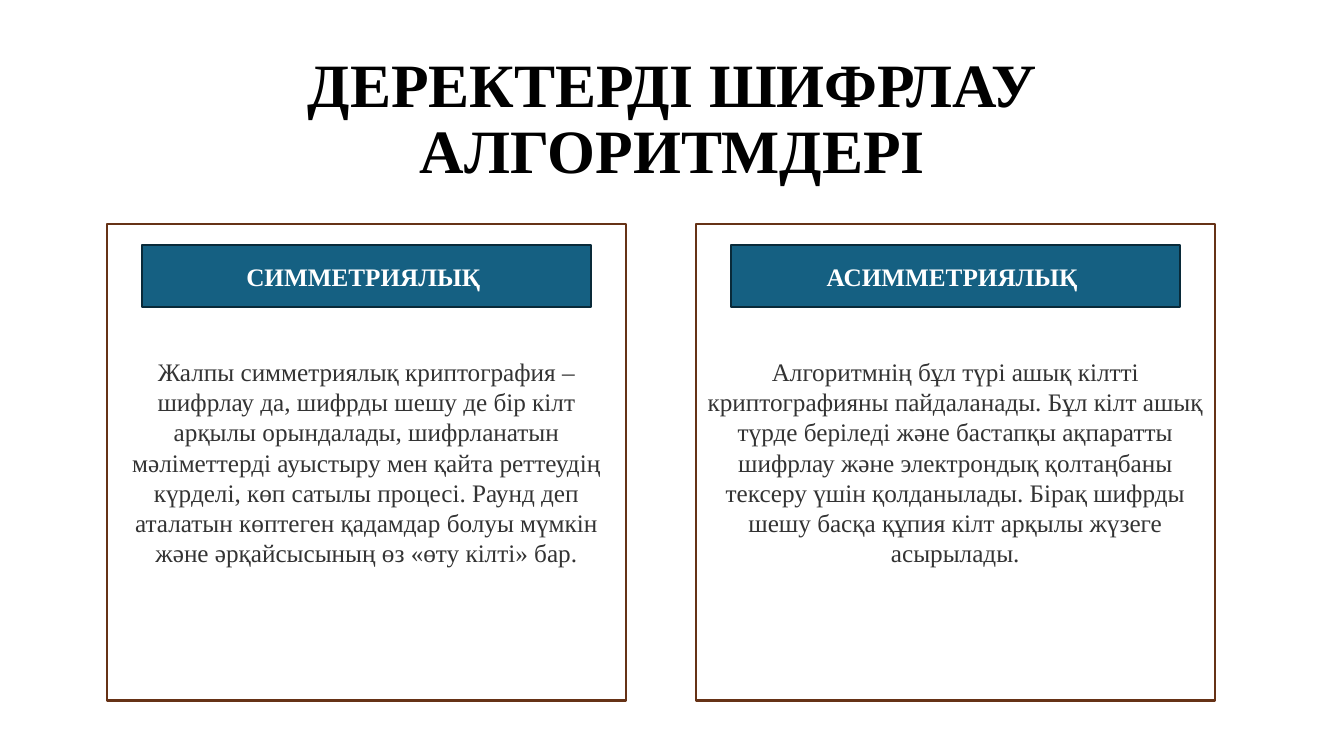
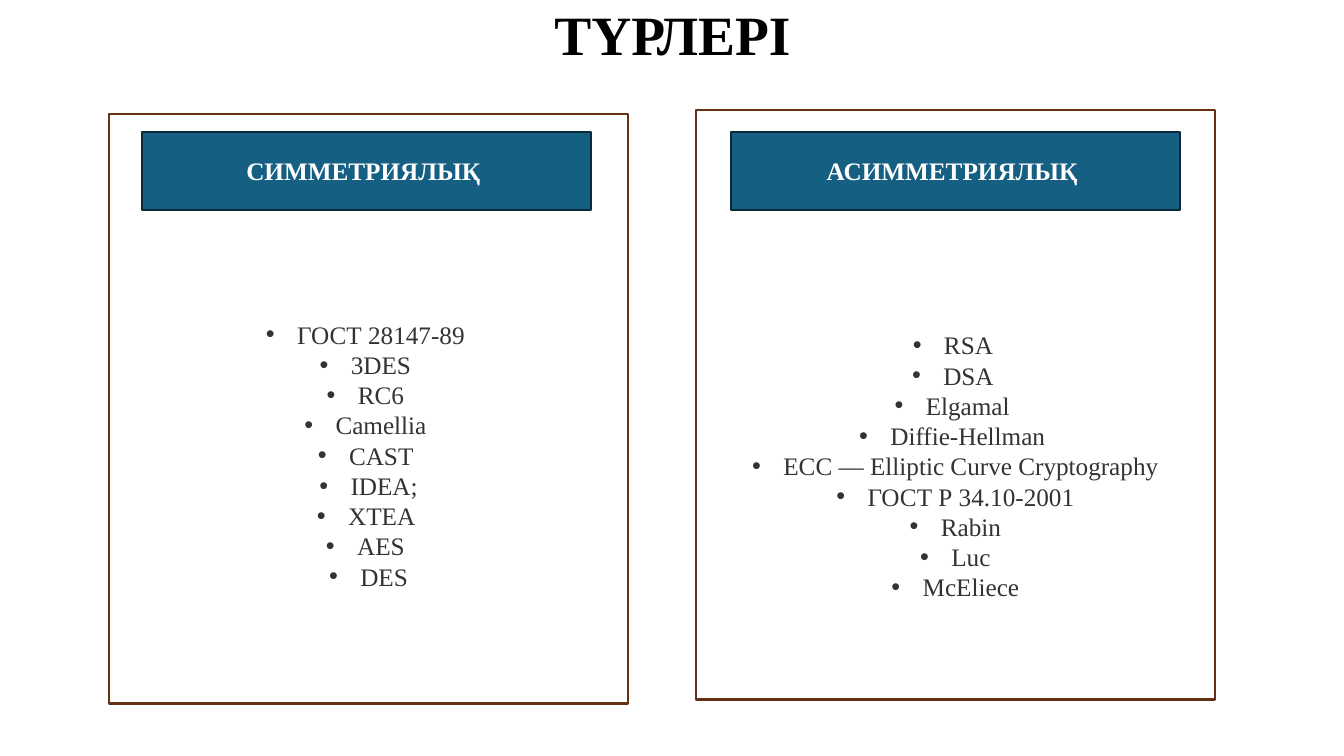
from dataclasses import dataclass

import pptx
import pptx.dml.color
import pptx.enum.shapes
import pptx.enum.text
import pptx.oxml.ns
import pptx.util
from lxml import etree

Inches = pptx.util.Inches
Pt = pptx.util.Pt
RGB = pptx.dml.color.RGBColor.from_string


@dataclass(frozen=True)
class Theme:
    font: str = "Times New Roman"
    title_color: str = "000000"
    text_color: str = "333333"
    card_fill: str = "FFFFFF"
    card_line: str = "663216"
    band_fill: str = "156082"
    band_line: str = "092A39"
    band_text: str = "FFFFFF"
    title_size: float = 44
    short_title_size: float = 39.6
    text_size: float = 18
    line_width: float = 1.5


CARD_WIDTH = 5.15
BAND_WIDTH = 4.45
BAND_LEFTS = (1.41, 7.25)
BAND_LABELS = ("СИММЕТРИЯЛЫҚ ", "АСИММЕТРИЯЛЫҚ ")
BULLET_INDENT = 0.31


class SlideBuilder:
    def __init__(self, deck, theme):
        self.deck = deck
        self.theme = theme
        self.slide = None

    def add_slide(self):
        self.slide = self.deck.slides.add_slide(self.deck.slide_layouts.get_by_name("Title Only"))

    def fill_text(self, frame, lines, size, color, bold=False, top_inset=0.05):
        """Fill a text frame with centred paragraphs, one for each line."""
        frame_format = {
            "word_wrap": True,
            "auto_size": pptx.enum.text.MSO_AUTO_SIZE.NONE,
            "vertical_anchor": pptx.enum.text.MSO_ANCHOR.MIDDLE,
            "margin_top": Inches(top_inset),
        }
        for name, value in frame_format.items():
            setattr(frame, name, value)
        font_format = {"name": self.theme.font, "size": Pt(size), "bold": bold}
        for index, line in enumerate(lines):
            para = frame.add_paragraph() if index else frame.paragraphs[0]
            para.alignment = pptx.enum.text.PP_ALIGN.CENTER
            span = para.add_run()
            span.text = line
            for name, value in font_format.items():
                setattr(span.font, name, value)
            span.font.color.rgb = RGB(color)

    def title(self, text, top, height, size):
        box = self.slide.shapes.title
        place = {"left": 0.92, "top": top, "width": 11.5, "height": height}
        for name, value in place.items():
            setattr(box, name, Inches(value))
        self.fill_text(box.text_frame, [text], size, self.theme.title_color, bold=True)
        box.text_frame.paragraphs[0].line_spacing = 0.9

    def rectangle(self, left, top, width, height, fill, line):
        box = self.slide.shapes.add_shape(
            pptx.enum.shapes.MSO_SHAPE.RECTANGLE,
            Inches(left), Inches(top), Inches(width), Inches(height))
        box.shadow.inherit = False
        box.fill.solid()
        box.fill.fore_color.rgb = RGB(fill)
        box.line.color.rgb = RGB(line)
        box.line.width = Pt(self.theme.line_width)
        return box

    def card(self, left, top, height, lines, top_inset=0.05):
        box = self.rectangle(left, top, CARD_WIDTH, height,
                             self.theme.card_fill, self.theme.card_line)
        self.fill_text(box.text_frame, lines, self.theme.text_size,
                       self.theme.text_color, top_inset=top_inset)
        return box

    def bullet_card(self, left, top, height, lines, top_inset):
        box = self.card(left, top, height, lines, top_inset)
        for para in box.text_frame.paragraphs:
            properties = para._p.get_or_add_pPr()
            properties.set("marL", str(Inches(BULLET_INDENT)))
            properties.set("indent", str(-Inches(BULLET_INDENT)))
            for tag, key, value in (("a:buFont", "typeface", "Arial"),
                                    ("a:buChar", "char", "•")):
                etree.SubElement(properties, pptx.oxml.ns.qn(tag)).set(key, value)

    def bands(self, top, height):
        """Add the heading bands of both columns."""
        for left, label in zip(BAND_LEFTS, BAND_LABELS):
            box = self.rectangle(left, top, BAND_WIDTH, height,
                                 self.theme.band_fill, self.theme.band_line)
            self.fill_text(box.text_frame, [label], self.theme.text_size,
                           self.theme.band_text, bold=True)


def add_definitions(builder):
    builder.add_slide()
    builder.title("ДЕРЕКТЕРДІ ШИФРЛАУ АЛГОРИТМДЕРІ", 0.47, 1.45, builder.theme.title_size)
    symmetric = (
        "Жалпы симметриялық криптография – шифрлау да, шифрды шешу де бір кілт "
        "арқылы орындалады, шифрланатын мәліметтерді ауыстыру мен қайта реттеудің "
        "күрделі, көп сатылы процесі. Раунд деп аталатын көптеген қадамдар болуы "
        "мүмкін және әрқайсысының өз «өту кілті» бар.")
    asymmetric = (
        "Алгоритмнің бұл түрі ашық кілтті криптографияны пайдаланады. Бұл кілт ашық "
        "түрде беріледі және бастапқы ақпаратты шифрлау және электрондық қолтаңбаны "
        "тексеру үшін қолданылады. Бірақ шифрды шешу басқа құпия кілт арқылы жүзеге "
        "асырылады.")
    for left, text in ((1.06, symmetric), (6.9, asymmetric)):
        builder.card(left, 2.22, 4.73, [text])
    builder.bands(2.43, 0.62)


def add_kinds(builder):
    builder.add_slide()
    builder.title("ТҮРЛЕРІ", 0, 0.74, builder.theme.short_title_size)
    symmetric = ("ГОСТ 28147-89 ", "3DES ", "RC6 ", "Camellia ", "CAST ",
                 "IDEA;", "XTEA ", "AES ", "DES")
    asymmetric = ("RSA ", "DSA ", "Elgamal ", "Diffie-Hellman ",
                  "ECC — Elliptic Curve Cryptography", "ГОСТ Р 34.10-2001",
                  "Rabin", "Luc", "McEliece")
    builder.bullet_card(1.08, 1.13, 5.85, symmetric, top_inset=0.97)
    builder.bullet_card(6.9, 1.09, 5.85, asymmetric, top_inset=1.26)
    builder.bands(1.31, 0.77)


def main():
    deck = pptx.Presentation()
    deck.slide_width = Inches(13.33)
    deck.slide_height = Inches(7.5)
    builder = SlideBuilder(deck, Theme())
    add_definitions(builder)
    add_kinds(builder)
    deck.save("out.pptx")


if __name__ == "__main__":
    main()
